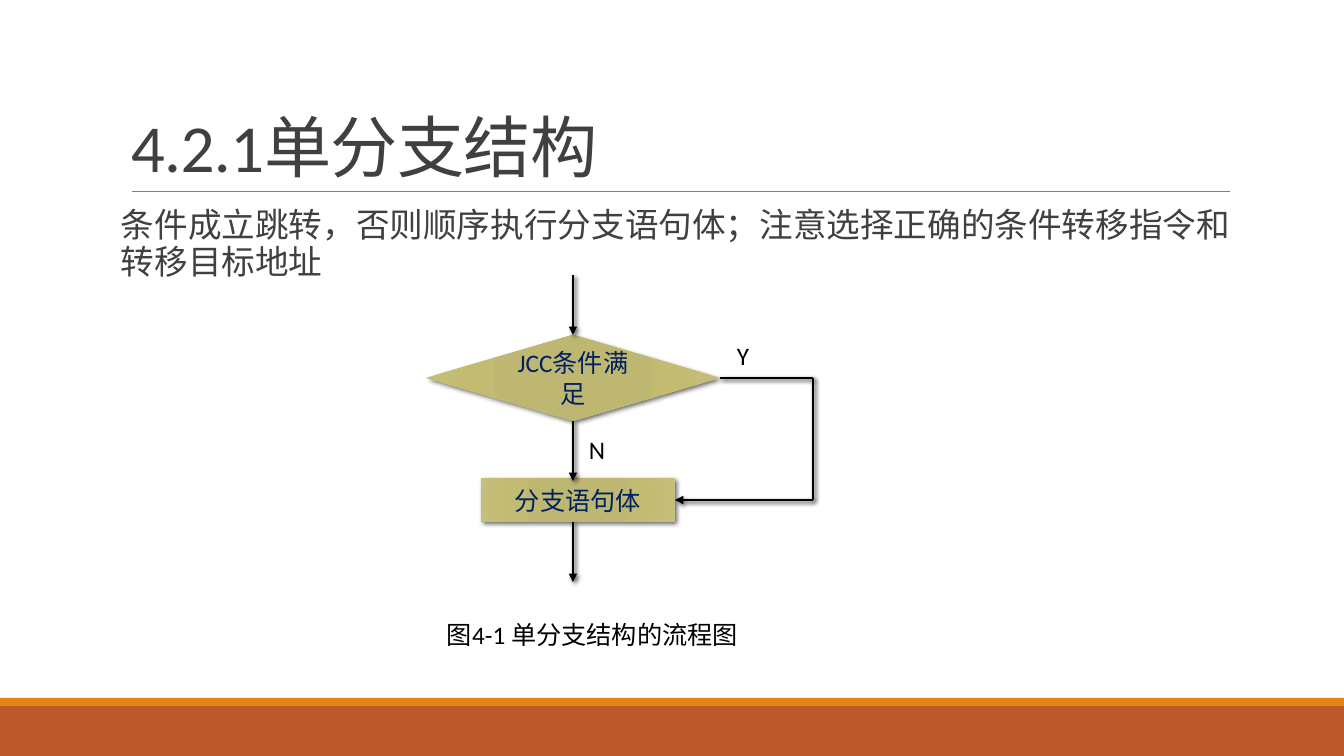
"""Build the slide on the single-branch structure with its flowchart."""
from dataclasses import dataclass

from lxml import etree
from pptx import Presentation
from pptx.dml.color import RGBColor
from pptx.enum.shapes import MSO_CONNECTOR, MSO_SHAPE
from pptx.enum.text import MSO_ANCHOR, PP_ALIGN
from pptx.oxml import parse_xml
from pptx.oxml.ns import nsdecls, qn
from pptx.util import Pt

STRAIGHT = MSO_CONNECTOR.STRAIGHT
RECT, DECISION = MSO_SHAPE.RECTANGLE, MSO_SHAPE.FLOWCHART_DECISION
TOP, MIDDLE, BOTTOM = MSO_ANCHOR.TOP, MSO_ANCHOR.MIDDLE, MSO_ANCHOR.BOTTOM
LEFT, CENTER = PP_ALIGN.LEFT, PP_ALIGN.CENTER
TOP_SITE, BOTTOM_SITE, RIGHT_SITE = 0, 2, 3


@dataclass(frozen=True)
class Theme:
    font: str = "Calibri"
    text: str = "404040"
    ink: str = "000000"
    node_text: str = "002060"
    rule: str = "808080"
    node_stops: tuple = ((0, "BEB76E"), (34, "BEB771"), (70, "C3BB71"), (100, "C5BF7D"))
    title_size: int = 48
    body_size: int = 24
    label_size: int = 18


THEME = Theme()
SLIDE_W, SLIDE_H = 1344, 756
EMU_PER_PX = 914400 / 100.8

TITLE = ("4.2.1单分支结构", (121, 31, 1109, 160))
BODY = ("条件成立跳转，否则顺序执行分支语句体；注意选择正确的条件转移指令和转移目标地址",
        (121, 204, 1109, 444))
BANDS = [((0, 706, SLIDE_W, 50), "BD582C"), ((0, 698, SLIDE_W, 8), "E48312")]
TITLE_RULE = (132, 191, 1230, 191)
NODES = {
    "test": (DECISION, "JCC条件满足", (426, 335, 294, 86)),
    "branch": (RECT, "分支语句体", (481, 478, 194, 44)),
}
LABELS = [
    ("Y", (727, 335, 43, 40)),
    ("N", (579, 429, 43, 40)),
    ("图4-1 单分支结构的流程图", (437, 614, 350, 40)),
]
FLOW_X, BYPASS_X = 573, 813
ARROW_LENGTH = 60


def px(n):
    return round(n * EMU_PER_PX)


def place(box):
    return [px(n) for n in box]


def rgb(color):
    return RGBColor.from_string(color)


def write(s, text, size, color, anchor=TOP, align=LEFT):
    tf = s.text_frame
    tf.word_wrap = True
    tf.vertical_anchor = anchor
    p = tf.paragraphs[0]
    p.alignment = align
    r = p.add_run()
    r.text = text
    r.font.size = Pt(size)
    r.font.name = THEME.font
    r.font.color.rgb = rgb(color)
    return tf, p, r


def add_text(slide, text, box, size, color, anchor=TOP):
    return write(slide.shapes.add_textbox(*place(box)), text, size, color, anchor)


def add_effects(sp_pr, blur=None):
    effects = sp_pr.find(qn("a:effectLst"))
    if effects is None:
        effects = etree.SubElement(sp_pr, qn("a:effectLst"))
    if blur:
        effects.append(parse_xml(
            f'<a:outerShdw {nsdecls("a")} blurRad="{Pt(blur)}" dist="{Pt(2)}" dir="2700000">'
            f'<a:srgbClr val="{THEME.ink}"><a:alpha val="60000"/></a:srgbClr></a:outerShdw>'))


def add_box(slide, kind, box):
    s = slide.shapes.add_shape(kind, *place(box))
    s.shadow.inherit = False
    s.line.fill.background()
    return s


def add_node(slide, kind, text, box):
    s = add_box(slide, kind, box)
    sp_pr = s.element.spPr
    stops = "".join(f'<a:gs pos="{pos * 1000}"><a:srgbClr val="{color}"/></a:gs>'
                    for pos, color in THEME.node_stops)
    sp_pr.find(qn("a:prstGeom")).addnext(parse_xml(
        f'<a:gradFill {nsdecls("a")}><a:gsLst>{stops}</a:gsLst><a:path path="circle">'
        '<a:fillToRect l="100000" t="100000" r="100000" b="100000"/></a:path></a:gradFill>'))
    add_effects(sp_pr, 3.5)
    write(s, text, THEME.label_size, THEME.node_text, MIDDLE, CENTER)
    return s


def add_line(slide, ends, color=THEME.ink, width=2, arrow=False, blur=3, begin=None, end=None):
    c = slide.shapes.add_connector(STRAIGHT, *place(ends))
    c.line.color.rgb = rgb(color)
    c.line.width = Pt(width)
    sp_pr = c.element.spPr
    if arrow:
        etree.SubElement(sp_pr.find(qn("a:ln")), qn("a:tailEnd"), type="triangle")
    add_effects(sp_pr, blur)
    if begin:
        c.begin_connect(*begin)
    if end:
        c.end_connect(*end)


def add_flowchart(slide):
    nodes = {name: add_node(slide, *node) for name, node in NODES.items()}
    test, branch = nodes["test"], nodes["branch"]
    left, top, width, height = NODES["test"][2]
    right, bottom, middle = left + width, top + height, top + height // 2
    b_left, b_top, b_width, b_height = NODES["branch"][2]
    b_right, b_bottom, b_middle = b_left + b_width, b_top + b_height, b_top + b_height // 2

    for y, joins in [(top - ARROW_LENGTH, {"end": (test, TOP_SITE)}),
                     (bottom, {"begin": (test, BOTTOM_SITE)}),
                     (b_bottom, {})]:
        add_line(slide, (FLOW_X, y, FLOW_X, y + ARROW_LENGTH), arrow=True, **joins)
    add_line(slide, (right, middle, BYPASS_X, middle), begin=(test, RIGHT_SITE))
    add_line(slide, (BYPASS_X, middle, BYPASS_X, b_middle))
    add_line(slide, (BYPASS_X, b_middle, b_right, b_middle), arrow=True,
             end=(branch, RIGHT_SITE))
    for text, box in LABELS:
        add_text(slide, text, box, THEME.label_size, THEME.ink)


def main():
    prs = Presentation()
    prs.slide_width, prs.slide_height = px(SLIDE_W), px(SLIDE_H)
    slide = prs.slides.add_slide(prs.slide_layouts[6])
    for box, color in BANDS:
        s = add_box(slide, RECT, box)
        s.fill.solid()
        s.fill.fore_color.rgb = rgb(color)
    add_line(slide, TITLE_RULE, THEME.rule, 0.5, blur=None)

    tf, p, r = add_text(slide, *TITLE, THEME.title_size, THEME.text, BOTTOM)
    p.line_spacing = 0.85
    r.font.element.set("spc", "-50") if hasattr(r.font, "element") else r._r.rPr.set("spc", "-50")
    tf, p, r = add_text(slide, *BODY, THEME.body_size, THEME.text)
    tf.margin_left = tf.margin_right = 0
    p.line_spacing = 0.9
    p.space_before, p.space_after = Pt(12), Pt(2)

    add_flowchart(slide)
    prs.save("out.pptx")


if __name__ == "__main__":
    main()
